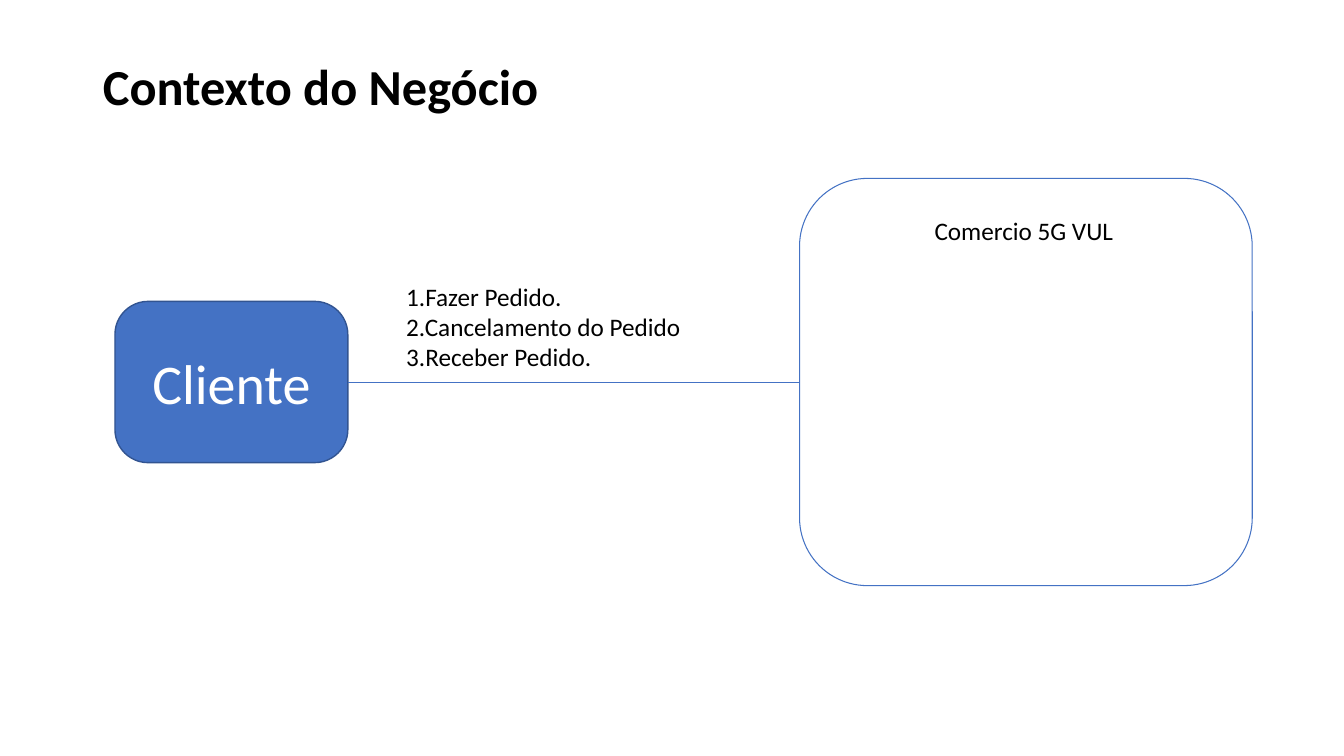
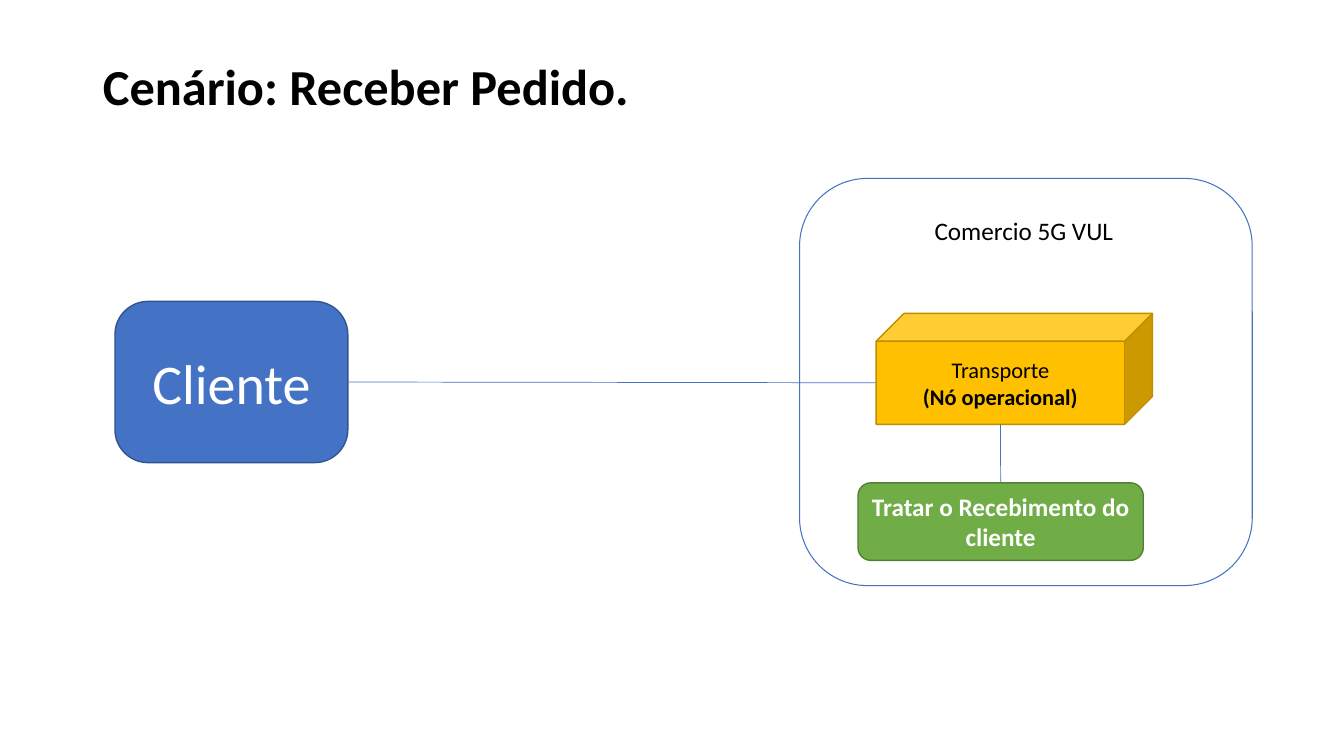
from pptx import Presentation, util as u
from pptx.dml.color import RGBColor
from pptx.enum import shapes, text
from pptx.oxml import ns
from lxml import etree

FONT = "Calibri"
BLUE, BLACK, WHITE = "4472C4", "000000", "FFFFFF"
ROUND, CUBE = shapes.MSO_SHAPE.ROUNDED_RECTANGLE, shapes.MSO_SHAPE.CUBE
TOP, LEFT, BOTTOM, RIGHT = range(4)

TITLES = ["Contexto do Negócio", "Cenário: Receber Pedido."]
BUSINESS = "Comercio 5G VUL"
CLIENT = "Cliente"
REQUESTS = ["1.Fazer Pedido.", "2.Cancelamento do Pedido", "3.Receber Pedido."]
TRANSPORT = ["Transporte", "(Nó operacional)"]
TASK = "Tratar o Recebimento do cliente"

TITLE_BOX = (0.92, 0.56, 11.5, 0.65)
BUSINESS_BOX = (7.93, 1.77, 4.49, 4.04)
BUSINESS_LABEL = (9.17, 2.09, 2.01, 0.4)
CLIENT_BOX = (1.14, 2.99, 2.31, 1.6)
REQUESTS_BOX = (3.93, 2.74, 3.51, 1.31)
TRANSPORT_BOX = (8.69, 3.11, 2.74, 1.1)
TASK_BOX = (8.51, 4.79, 2.83, 0.77)


def color(value):
    return RGBColor.from_string(value)


def inches(*lengths):
    return [u.Inches(length) for length in lengths]


def write(part, lines, size, ink=BLACK, bold=False, align=text.PP_ALIGN.LEFT,
          anchor=text.MSO_ANCHOR.TOP):
    frame = part.text_frame
    frame.word_wrap = True
    frame.vertical_anchor = anchor
    frame.text = "\n".join(lines)
    for paragraph in frame.paragraphs:
        paragraph.alignment = align
        font = paragraph.font
        font.name, font.size, font.bold = FONT, u.Pt(size), bold
        font.color.rgb = color(ink)
    return frame


def label(slide, box, lines):
    write(slide.shapes.add_textbox(*inches(*box)), lines, 18)


def block(slide, kind, box, fill, edge, width=1, lines=(), size=18, ink=WHITE, bold=False):
    part = slide.shapes.add_shape(kind, *inches(*box))
    part.shadow.inherit = False
    if fill:
        part.fill.solid()
        part.fill.fore_color.rgb = color(fill)
    else:
        part.fill.background()
    part.line.color.rgb = color(edge)
    part.line.width = u.Pt(width)
    if lines:
        write(part, lines, size, ink, bold, text.PP_ALIGN.CENTER, text.MSO_ANCHOR.MIDDLE)
    return part


def link(slide, start, end):
    line = slide.shapes.add_connector(shapes.MSO_CONNECTOR.STRAIGHT, *inches(*start, *end))
    line.line.color.rgb = color(BLUE)
    line.line.width = u.Pt(0.5)
    etree.SubElement(line._element.spPr, ns.qn("a:effectLst"))
    return line


def base_slide(deck, heading):
    slide = deck.slides.add_slide(deck.slide_layouts[5])
    title = slide.shapes.title
    title.left, title.top, title.width, title.height = inches(*TITLE_BOX)
    frame = write(title, [heading], 36, bold=True, anchor=text.MSO_ANCHOR.BOTTOM)
    frame.auto_size = text.MSO_AUTO_SIZE.NONE
    frame.paragraphs[0].line_spacing = 0.9
    business = block(slide, ROUND, BUSINESS_BOX, None, BLUE, 0.75)
    client = block(slide, ROUND, CLIENT_BOX, BLUE, "325491", lines=[CLIENT], size=40)
    client.adjustments[0] = 0.205
    label(slide, BUSINESS_LABEL, [BUSINESS])
    return slide, business, client


def context_slide(deck):
    slide, business, client = base_slide(deck, TITLES[0])
    order = link(slide, (3.45, 3.79), (7.93, 3.79))
    order.begin_connect(client, RIGHT)
    order.end_connect(business, LEFT)
    label(slide, REQUESTS_BOX, REQUESTS)


def scenario_slide(deck):
    slide, _, client = base_slide(deck, TITLES[1])
    left, top, width, height = TRANSPORT_BOX
    depth = height / 4
    face_center = left + (width - depth) / 2
    face_middle = top + (height + depth) / 2
    delivery = link(slide, (3.45, 3.79), (left, face_middle))
    delivery.begin_connect(client, RIGHT)
    transport = block(slide, CUBE, TRANSPORT_BOX, "FFC000", "BD8E00",
                      lines=TRANSPORT, size=16, ink=BLACK)
    transport.text_frame.paragraphs[1].font.bold = True
    task = block(slide, ROUND, TASK_BOX, "70AD47", "538035", lines=[TASK], bold=True)
    handling = link(slide, (face_center, top + height), (face_center, TASK_BOX[1]))
    handling.end_connect(task, TOP)


def main():
    deck = Presentation()
    deck.slide_width, deck.slide_height = inches(13.33, 7.5)
    context_slide(deck)
    scenario_slide(deck)
    deck.save("out.pptx")


if __name__ == "__main__":
    main()
